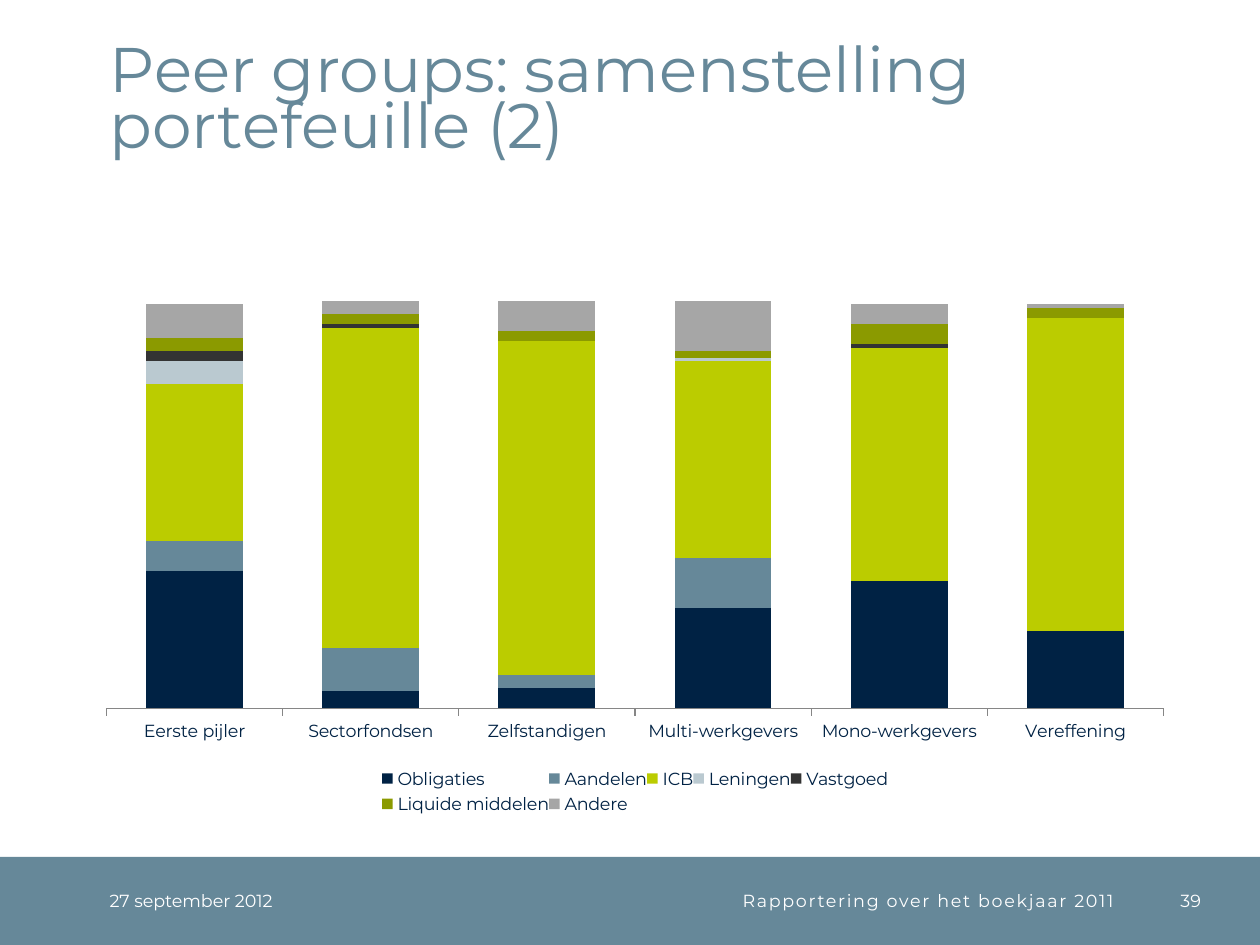
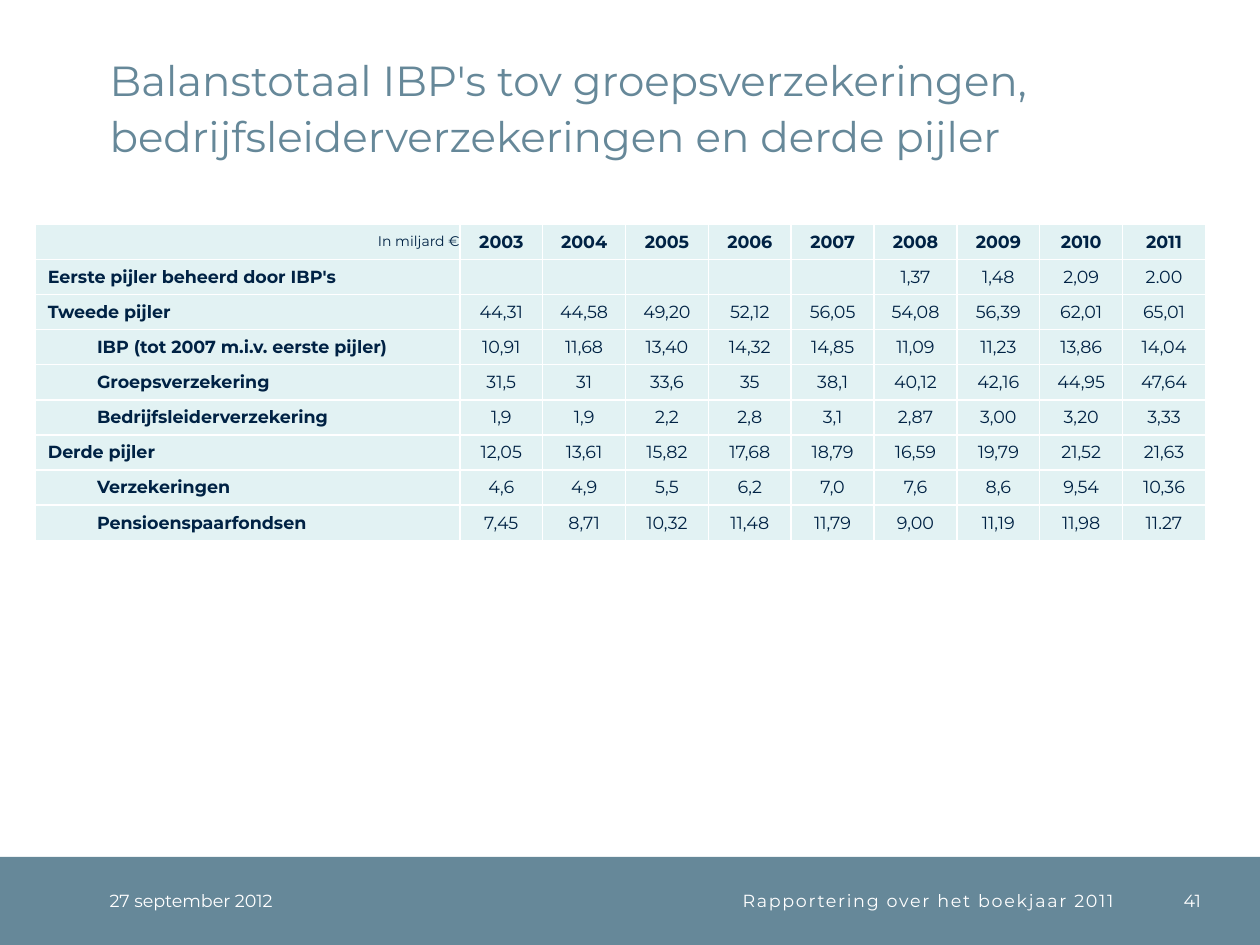
from dataclasses import dataclass

import pptx
import pptx.chart.data
import pptx.dml.color
import pptx.enum.chart
import pptx.enum.shapes
import pptx.enum.text
import pptx.oxml
import pptx.oxml.ns
import pptx.util
from lxml import etree

Inches = pptx.util.Inches
Pt = pptx.util.Pt
ALIGN = pptx.enum.text.PP_ALIGN
ANCHOR = pptx.enum.text.MSO_ANCHOR
CHART = pptx.enum.chart
qn = pptx.oxml.ns.qn


@dataclass(frozen=True)
class Theme:
    font: str = "Montserrat"
    navy: str = "002244"
    slate: str = "668899"
    white: str = "FFFFFF"
    table_fill: str = "E2F2F3"
    axis: str = "868686"
    body: int = 10
    unit: int = 8
    title_leading: int = 32
    series: tuple = ("002244", "668899", "BBCC00", "BAC9D0", "333333", "8B9A00", "A6A6A6")


THEME = Theme()
TITLE_BOX = (0.87, 0.2, 8.63, 1.08)
FOOTER_BOX = (0, 6.8, 10, 0.7)
CHART_BOX = (0.67, 1.62, 8.74, 4.88)
TABLE_BOX = (0.28, 1.78, 9.29, 2.51)

PEER_GROUPS = ("Eerste pijler", "Sectorfondsen", "Zelfstandigen",
               "Multi-werkgevers", "Mono-werkgevers", "Vereffening")
PORTFOLIO = {
    "Obligaties": (41, 5, 6, 30, 38, 23),
    "Aandelen": (9, 13, 4, 15, 0, 0),
    "ICB": (47, 96, 100, 59, 70, 94),
    "Leningen": (7, 0, 0, 1, 0, 0),
    "Vastgoed": (3, 1, 0, 0, 1, 0),
    "Liquide middelen": (4, 3, 3, 2, 6, 3),
    "Andere": (10, 4, 9, 15, 6, 1),
}

YEARS = [str(year) for year in range(2003, 2012)]
# Label, indent level, amounts (right-hand years when fewer than nine)
BALANCE = (
    ("Eerste pijler beheerd door IBP's", 0, "1,37 1,48 2,09 2.00"),
    ("Tweede pijler", 0, "44,31 44,58 49,20 52,12 56,05 54,08 56,39 62,01 65,01"),
    ("IBP (tot 2007 m.i.v. eerste pijler)", 1, "10,91 11,68 13,40 14,32 14,85 11,09 11,23 13,86 14,04"),
    ("Groepsverzekering", 1, "31,5 31 33,6 35 38,1 40,12 42,16 44,95 47,64"),
    ("Bedrijfsleiderverzekering", 1, "1,9 1,9 2,2 2,8 3,1 2,87 3,00 3,20 3,33"),
    ("Derde pijler", 0, "12,05 13,61 15,82 17,68 18,79 16,59 19,79 21,52 21,63"),
    ("Verzekeringen", 1, "4,6 4,9 5,5 6,2 7,0 7,6 8,6 9,54 10,36"),
    ("Pensioenspaarfondsen", 1, "7,45 8,71 10,32 11,48 11,79 9,00 11,19 11,98 11.27"),
)


def rgb(color):
    return pptx.dml.color.RGBColor.from_string(color)


def inches(box):
    return [Inches(length) for length in box]


def style_font(font, size, color, bold=False):
    font.name, font.size, font.bold = THEME.font, Pt(size), bold
    font.color.rgb = rgb(color)


def write(paragraph, text, size, color, align=ALIGN.LEFT, bold=False, tracking=0):
    paragraph.alignment = align
    run = paragraph.add_run()
    run.text = text
    style_font(run.font, size, color, bold)
    if tracking:
        run._r.get_or_add_rPr().set("spc", str(tracking * 100))


def clear_margins(area):
    area.margin_left = area.margin_top = area.margin_right = area.margin_bottom = 0


def add_title(slide, box, text, size):
    title = slide.shapes.title
    title.left, title.top, title.width, title.height = inches(box)
    frame = title.text_frame
    clear_margins(frame)
    frame.word_wrap = True
    frame.auto_size = pptx.enum.text.MSO_AUTO_SIZE.NONE
    frame.vertical_anchor = ANCHOR.BOTTOM
    paragraph = frame.paragraphs[0]
    paragraph.line_spacing = Pt(THEME.title_leading)
    write(paragraph, text, size, THEME.slate)


def add_footer(slide, box, page):
    left, top, width, height = box
    band = slide.shapes.add_shape(pptx.enum.shapes.MSO_SHAPE.RECTANGLE, *inches(box))
    band.shadow.inherit = False
    band.fill.solid()
    band.fill.fore_color.rgb = rgb(THEME.slate)
    band.line.fill.background()

    # Date, report name and page number
    entries = (
        (0.87, 1.77, "27 september 2012", ALIGN.LEFT, 0),
        (2.64, 6.2, "Rapportering over het boekjaar 2011", ALIGN.RIGHT, 1),
        (9.04, 0.49, str(page), ALIGN.RIGHT, 0),
    )
    for offset, entry_width, text, align, tracking in entries:
        entry = slide.shapes.add_textbox(*inches((left + offset, top, entry_width, height)))
        frame = entry.text_frame
        clear_margins(frame)
        frame.word_wrap = True
        frame.vertical_anchor = ANCHOR.MIDDLE
        write(frame.paragraphs[0], text, THEME.body, THEME.white, align, tracking=tracking)


def manual_layout(x, y, w, h, inner=False):
    """Chart layout in fractions of the chart box."""
    layout = etree.Element(qn("c:layout"))
    manual = etree.SubElement(layout, qn("c:manualLayout"))
    settings = [("layoutTarget", "inner")] if inner else []
    settings += [("xMode", "edge"), ("yMode", "edge"), ("x", x), ("y", y), ("w", w), ("h", h)]
    for tag, value in settings:
        etree.SubElement(manual, qn(f"c:{tag}")).set("val", str(value))
    return layout


def replace_layout(parent, layout, index):
    for old in parent.findall(qn("c:layout")):
        parent.remove(old)
    parent.insert(index, layout)


def add_portfolio_chart(slide, box):
    portfolio = pptx.chart.data.CategoryChartData()
    portfolio.categories = PEER_GROUPS
    for asset, amounts in PORTFOLIO.items():
        portfolio.add_series(asset, amounts)
    chart = slide.shapes.add_chart(
        CHART.XL_CHART_TYPE.COLUMN_STACKED, *inches(box), portfolio).chart
    style_font(chart.font, THEME.body, THEME.navy)
    chart.has_title = False

    # Columns
    plot = chart.plots[0]
    plot.gap_width, plot.overlap, plot.vary_by_categories = 82, 100, False
    for asset, color in zip(plot.series, THEME.series):
        asset.format.fill.solid()
        asset.format.fill.fore_color.rgb = rgb(color)

    # Axes
    groups, amounts = chart.category_axis, chart.value_axis
    groups.major_tick_mark = CHART.XL_TICK_MARK.OUTSIDE
    groups.format.line.color.rgb = rgb(THEME.axis)
    amounts.visible = False
    amounts.has_major_gridlines = False
    amounts.minimum_scale, amounts.maximum_scale = 0, 140
    amounts.tick_labels.number_format = "0.00%"
    amounts.tick_labels.number_format_is_linked = False

    # Legend and placement
    chart.has_legend = True
    chart.legend.position = CHART.XL_LEGEND_POSITION.BOTTOM
    chart.legend.include_in_layout = False
    plot_area = chart._chartSpace.chart.plotArea
    replace_layout(plot_area, manual_layout(0.02, 0.06, 0.96, 0.76, inner=True), 0)
    replace_layout(chart.legend._element, manual_layout(0.27, 0.91, 0.46, 0.09), 1)


def fill_cell(cell, text, size=THEME.body, align=ALIGN.CENTER, bold=False, indent=0):
    clear_margins(cell)
    cell.vertical_anchor = ANCHOR.MIDDLE
    cell.fill.solid()
    cell.fill.fore_color.rgb = rgb(THEME.table_fill)
    paragraph = cell.text_frame.paragraphs[0]
    if text:
        write(paragraph, text, size, THEME.navy, align, bold)
        properties = paragraph._p.get_or_add_pPr()
        properties.set("marL", str(Inches(indent)))
        properties.set("indent", "0")
    else:
        etree.SubElement(paragraph._p, qn("a:endParaRPr")).set("sz", str(size * 100))


def add_balance_table(slide, box):
    label_width = 3.37
    table = slide.shapes.add_table(len(BALANCE) + 1, len(YEARS) + 1, *inches(box)).table
    table.first_row = table.horz_banding = False
    table.columns[0].width = Inches(label_width)
    for column in list(table.columns)[1:]:
        column.width = Inches((box[2] - label_width) / len(YEARS))
    for row in table.rows:
        row.height = Inches(box[3] / len(table.rows))

    # Year header
    fill_cell(table.cell(0, 0), "In miljard €", THEME.unit, ALIGN.RIGHT, indent=0.1)
    for column, year in enumerate(YEARS, 1):
        fill_cell(table.cell(0, column), year, bold=True)

    # Pillars and their parts
    for row, (label, level, amounts) in enumerate(BALANCE, 1):
        fill_cell(table.cell(row, 0), label, align=ALIGN.LEFT, bold=True,
                  indent=0.1 + 0.39 * level)
        known = amounts.split()
        padded = [""] * (len(YEARS) - len(known)) + known
        for column, amount in enumerate(padded, 1):
            fill_cell(table.cell(row, column), amount)


def add_content_slide(deck, title, title_size, page, add_content, content_box):
    slide = deck.slides.add_slide(deck.slide_layouts[5])
    add_footer(slide, FOOTER_BOX, page)
    add_title(slide, TITLE_BOX, title, title_size)
    add_content(slide, content_box)


def main():
    deck = pptx.Presentation()
    deck.slide_width, deck.slide_height = Inches(10), Inches(7.5)
    add_content_slide(deck, "Peer groups: samenstelling portefeuille (2)", 36, 39,
                      add_portfolio_chart, CHART_BOX)
    add_content_slide(
        deck, "Balanstotaal IBP's tov groepsverzekeringen, "
        "bedrijfsleiderverzekeringen en derde pijler", 24, 41,
        add_balance_table, TABLE_BOX)
    deck.save("out.pptx")


if __name__ == "__main__":
    main()
